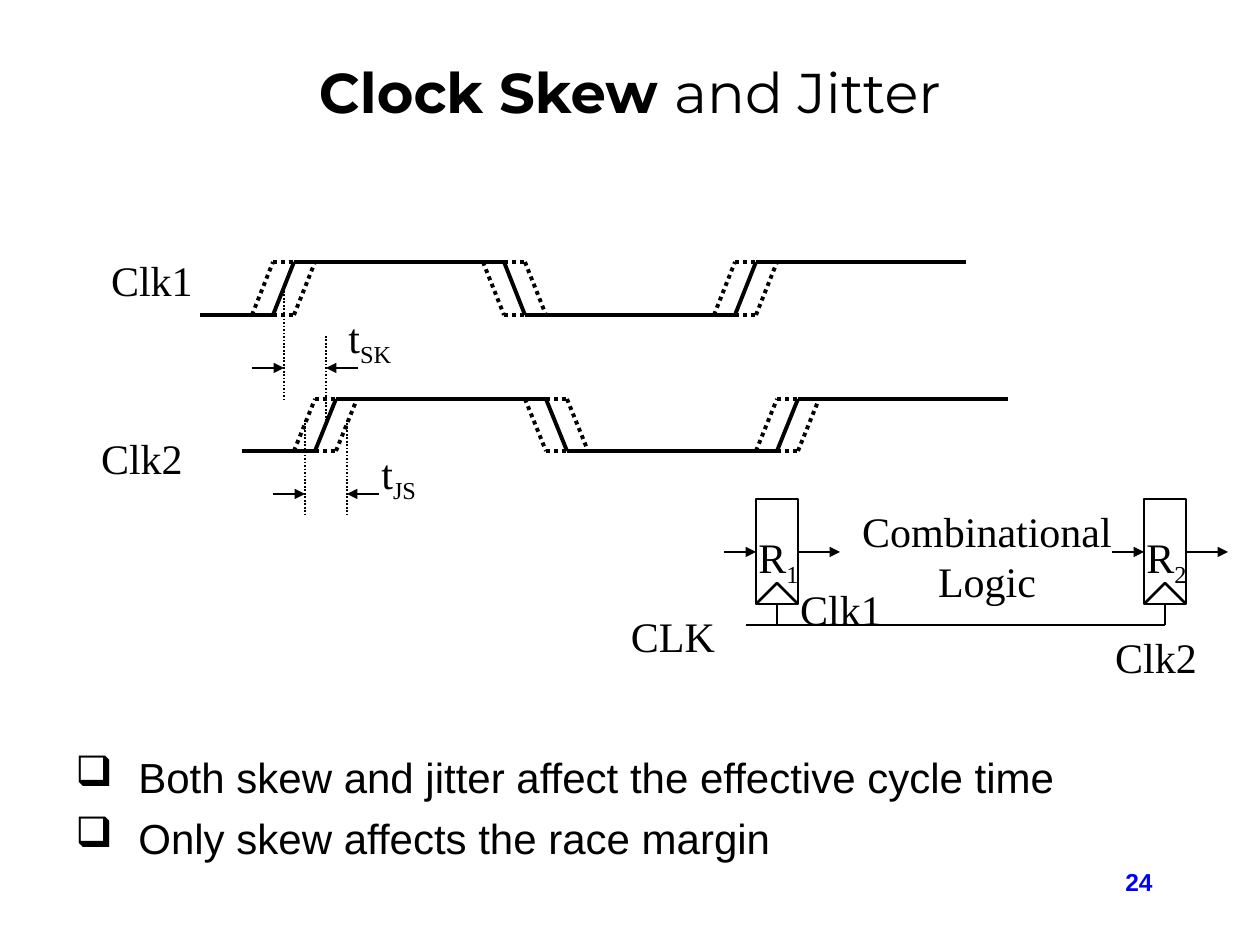
from lxml.etree import SubElement
from pptx import Presentation
from pptx.dml.color import RGBColor
from pptx.enum.dml import MSO_LINE
from pptx.enum.shapes import MSO_CONNECTOR, MSO_SHAPE
from pptx.enum.text import MSO_ANCHOR, MSO_AUTO_SIZE, PP_ALIGN
from pptx.oxml.ns import qn
from pptx.util import Inches, Pt

SCALE = Inches(1) / 126
COLORS = {"ink": "000000", "paper": "FFFFFF", "number": "0000FF"}
SERIF = {"name": "Times New Roman", "size": Pt(24)}
SANS = {"name": "Arial", "size": Pt(24)}
HEADING = {"name": "Montserrat", "size": Pt(32)}
NUMBER = {"name": "Arial", "size": Pt(14), "bold": True}
FIT = {"auto_size": MSO_AUTO_SIZE.SHAPE_TO_FIT_TEXT}
TIGHT = {**FIT, "word_wrap": False}
MIDDLE = {"vertical_anchor": MSO_ANCHOR.MIDDLE}
EDGE = 21
ARROW = 32


def px(value):
    """Turn px into EMU."""
    return round(value * SCALE)


def color(name):
    """Look up a colour by its role."""
    return RGBColor.from_string(COLORS[name])


def apply(target, values):
    """Set attributes from a dict of format values."""
    for name, value in values.items():
        setattr(target, name, value)


def add_run(paragraph, text, font, ink="ink", subscript=False):
    """Add a formatted run, lowered when it is a subscript."""
    run = paragraph.add_run()
    run.text = text
    apply(run.font, font)
    run.font.color.rgb = color(ink)
    if subscript:
        run._r.get_or_add_rPr().set("baseline", "-25000")


def add_box(slide, box, frame_format):
    """Add a text box and return its text frame."""
    frame = slide.shapes.add_textbox(*map(px, box)).text_frame
    apply(frame, {"word_wrap": True, **frame_format})
    return frame


def add_label(slide, text, box, frame_format, subscript="", align=None, font=SERIF, ink="ink"):
    """Add a label of one paragraph with an optional subscript."""
    paragraph = add_box(slide, box, frame_format).paragraphs[0]
    paragraph.alignment = align
    add_run(paragraph, text, font, ink)
    if subscript:
        add_run(paragraph, subscript, font, ink, True)


def add_title(slide):
    """Add the title in two weights."""
    paragraph = add_box(slide, (63, 38, 1134, 107), MIDDLE).paragraphs[0]
    paragraph.alignment = PP_ALIGN.CENTER
    add_run(paragraph, "Clock Skew ", {**HEADING, "bold": True})
    add_run(paragraph, "and Jitter", HEADING)


def add_bullets(slide, texts):
    """Add the bulleted statements."""
    frame = add_box(slide, (63, 745, 1166, 126), {})
    for index, text in enumerate(texts):
        paragraph = frame.add_paragraph() if index else frame.paragraphs[0]
        properties = paragraph._p.get_or_add_pPr()
        properties.set("marL", str(px(63)))
        properties.set("indent", str(px(-63)))
        SubElement(properties, qn("a:buChar"), char="❑")
        if index:
            paragraph.space_before = Pt(6)
        add_run(paragraph, text, SANS)


def add_line(slide, start, end, width, dotted=False, arrow=False):
    """Add a straight line, dotted or ending in an arrowhead on request."""
    points = map(px, (*start, *end))
    connector = slide.shapes.add_connector(MSO_CONNECTOR.STRAIGHT, *points)
    connector.line.color.rgb = color("ink")
    connector.line.width = Pt(width)
    if dotted:
        connector.line.dash_style = MSO_LINE.ROUND_DOT
    if arrow:
        SubElement(connector.line._get_or_add_ln(), qn("a:tailEnd"), type="triangle")
    SubElement(connector._element.spPr, qn("a:effectLst"))


def add_wave(slide, left, high, low):
    """Draw a clock wave with dotted jitter around each edge."""
    rise, fall, again = left + 73, left + 304, left + 535
    points = [(left, low), (rise, low), (rise + EDGE, high), (fall, high),
              (fall + EDGE, low), (again, low), (again + EDGE, high), (left + 766, high)]
    for start, end in zip(points, points[1:]):
        add_line(slide, start, end, 2.25)
    for x, first, last in ((rise, low, high), (fall, high, low), (again, low, high)):
        for shift in (-EDGE, EDGE):
            add_line(slide, (x + shift, first), (x + shift + EDGE, last), 2.25, dotted=True)
        for level in (high, low):
            add_line(slide, (x, level), (x + EDGE, level), 2.25, dotted=True)


def add_interval(slide, guides, level):
    """Mark the interval between two dotted guides with inward arrows."""
    for (x, top, bottom), side in zip(guides, (-1, 1)):
        add_line(slide, (x, top), (x, bottom), 1, dotted=True)
        add_line(slide, (x + side * ARROW, level), (x, level), 1, arrow=True)


def add_register(slide, left, number):
    """Draw a register with its clock input, arrows and name."""
    top, width, height, middle = 499, 42, 105, 552
    bottom, center, right = top + height, left + width // 2, left + width
    shape = slide.shapes.add_shape(MSO_SHAPE.RECTANGLE, *map(px, (left, top, width, height)))
    shape.fill.solid()
    shape.fill.fore_color.rgb = color("paper")
    builder = slide.shapes.build_freeform(left, bottom, scale=SCALE)
    builder.add_line_segments([(center, bottom - EDGE), (right, bottom)], close=False)
    notch = builder.convert_to_shape()
    notch.fill.background()
    for outline in (shape, notch):
        outline.shadow.inherit = False
        outline.line.color.rgb = color("ink")
        outline.line.width = Pt(1.5)
    add_line(slide, (center, bottom), (center, bottom + EDGE), 1.5)
    add_line(slide, (left - ARROW, middle), (left, middle), 1.5, arrow=True)
    add_line(slide, (right, middle), (right + 42, middle), 1.5, arrow=True)
    add_label(slide, "R", (left - 10, 525, 73, 53), {}, number)


def main():
    """Build and save the slide."""
    presentation = Presentation()
    presentation.slide_width, presentation.slide_height = px(1260), px(945)
    slide = presentation.slides.add_slide(presentation.slide_layouts[6])
    add_title(slide)
    add_bullets(slide, ["Both skew and jitter affect the effective cycle time",
                        "Only skew affects the race margin"])
    add_wave(slide, 200, 262, 315)
    add_wave(slide, 242, 399, 451)
    add_interval(slide, [(284, 284, 399), (326, 336, 420)], 368)
    add_interval(slide, [(305, 420, 514), (347, 420, 514)], 494)
    add_label(slide, "t", (336, 305, 70, 71), TIGHT, "SK")
    add_label(slide, "t", (369, 441, 64, 71), TIGHT, "JS")
    add_register(slide, 756, "1")
    add_register(slide, 1144, "2")
    add_line(slide, (746, 625), (1165, 625), 1.5)
    for text, box, frame_format in (
        ("Clk1", (94, 248, 116, 63), {**FIT, **MIDDLE}),
        ("Clk2", (84, 426, 116, 63), {**FIT, **MIDDLE}),
        ("CLK", (618, 604, 110, 63), TIGHT),
        ("Combinational Logic", (840, 499, 294, 113), FIT),
        ("Clk1", (787, 577, 108, 63), TIGHT),
        ("Clk2", (1102, 625, 108, 63), TIGHT),
    ):
        add_label(slide, text, box, frame_format, align=PP_ALIGN.CENTER)
    add_label(slide, "24", (903, 861, 262, 63), {}, align=PP_ALIGN.RIGHT,
              font=NUMBER, ink="number")
    presentation.save("out.pptx")


if __name__ == "__main__":
    main()
